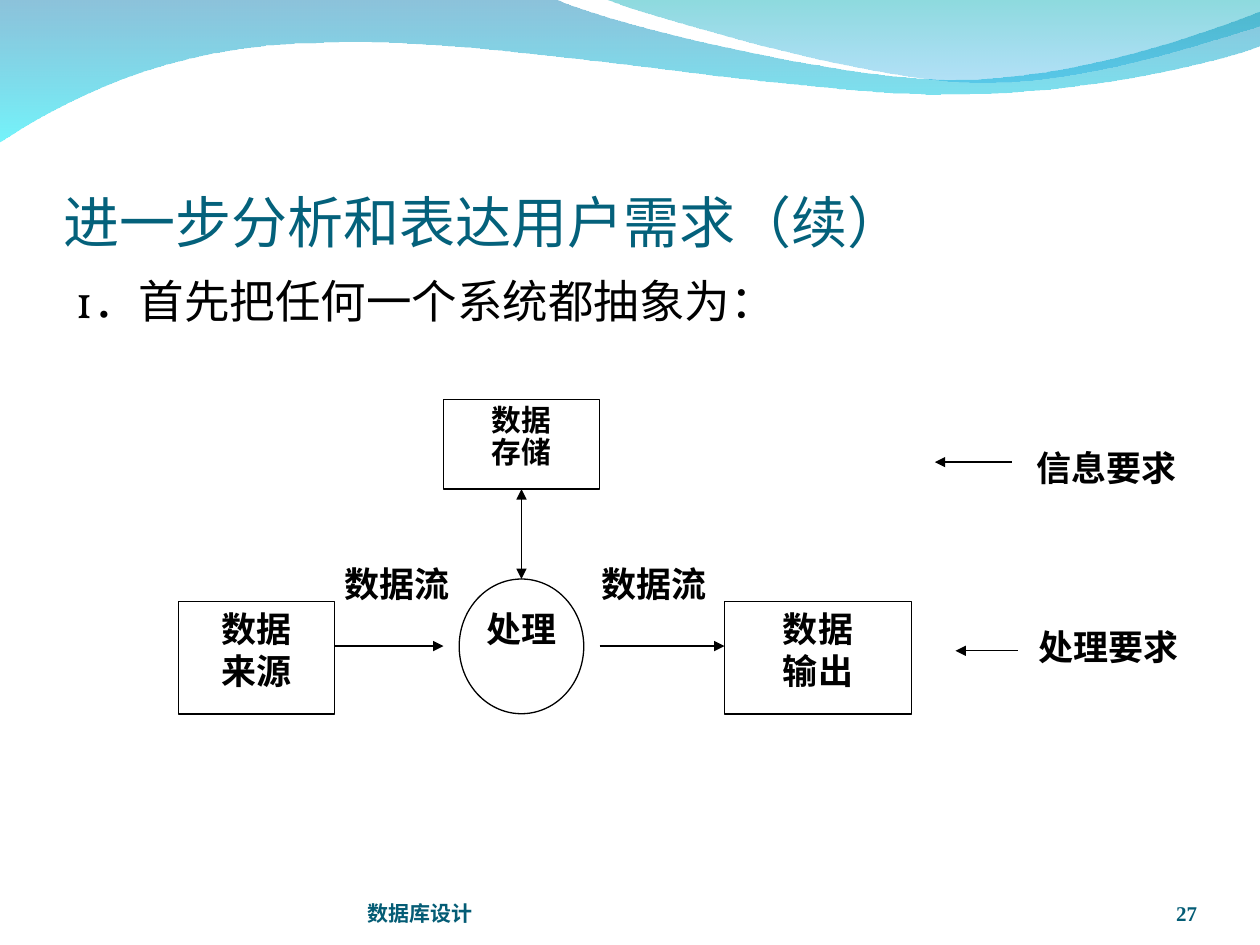
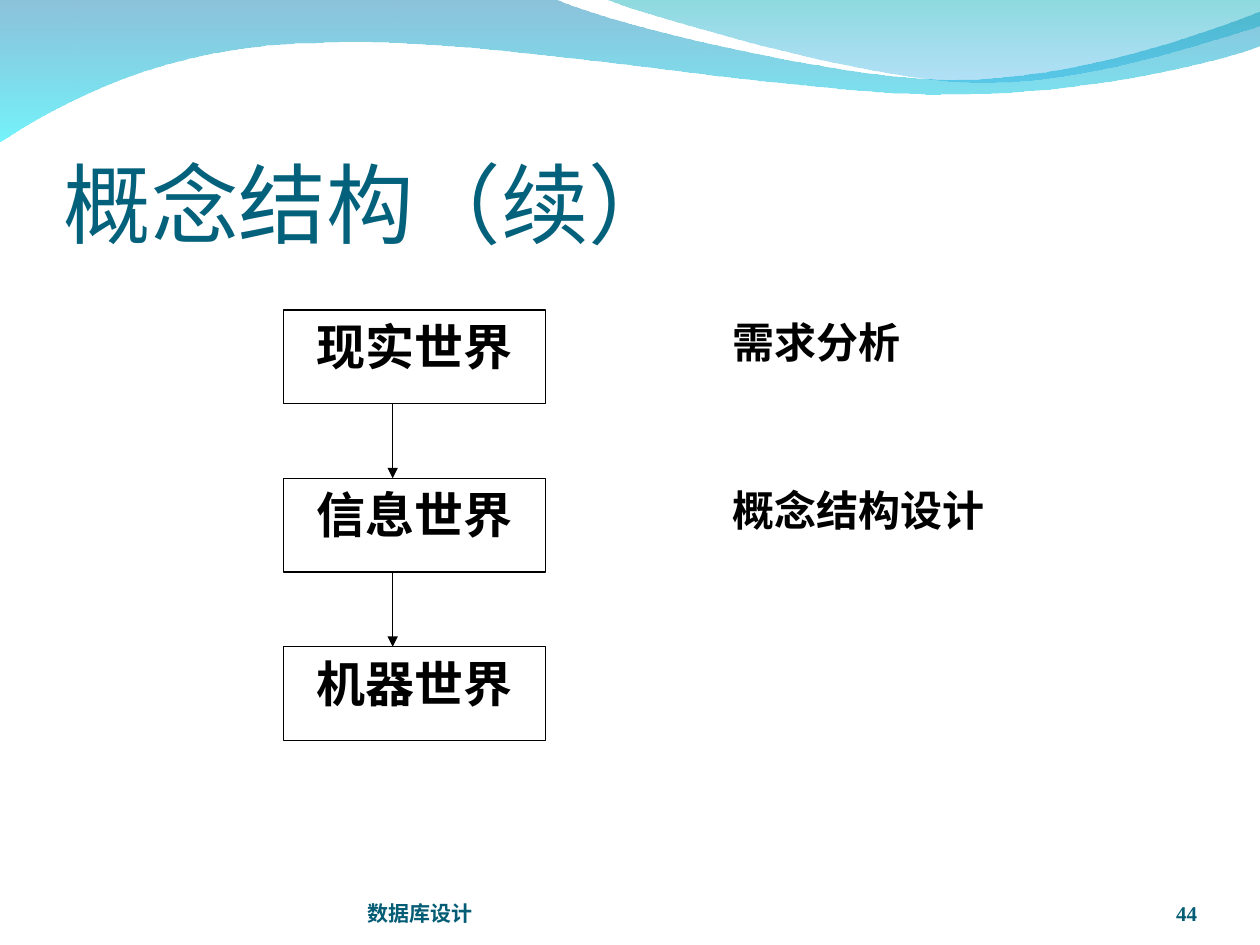
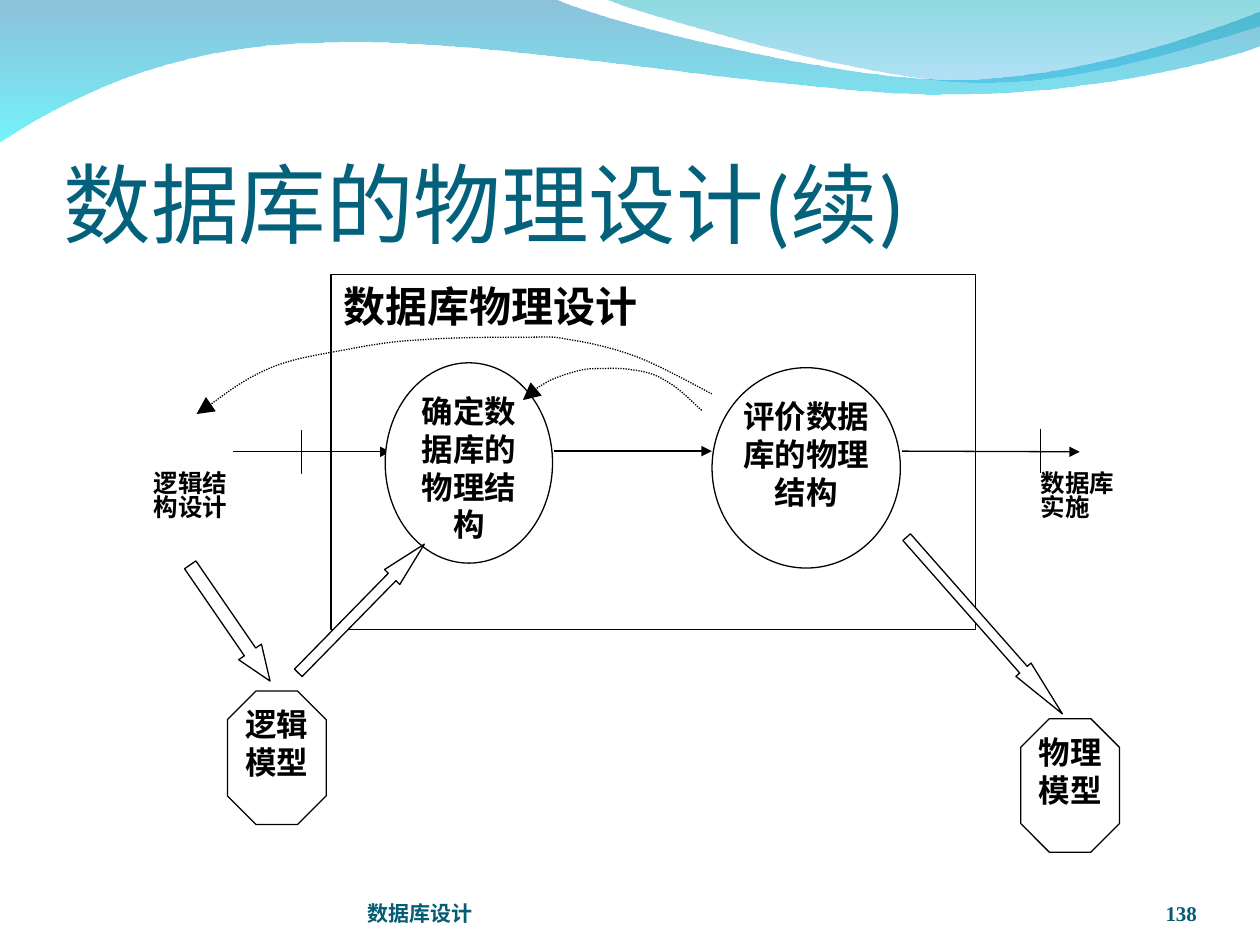
from dataclasses import dataclass
from itertools import chain, islice

from lxml import etree
from pptx import Presentation
from pptx import util as u
from pptx.dml.color import RGBColor
from pptx.enum import dml, shapes, text
from pptx.oxml import ns

Pt = u.Pt
BLACK, WHITE = "000000", "FFFFFF"
TITLE_COLOR, FOOTER_COLOR = "04617B", "045C75"
TITLE_FONT, BODY_FONT, LABEL_FONT = "Calibri", "Vollkorn", "Times New Roman"
LEFT, CENTER, RIGHT, JUSTIFY = (
    text.PP_ALIGN.LEFT, text.PP_ALIGN.CENTER, text.PP_ALIGN.RIGHT, text.PP_ALIGN.JUSTIFY)
TOP, BOTTOM = text.MSO_ANCHOR.TOP, text.MSO_ANCHOR.BOTTOM
RECTANGLE = shapes.MSO_SHAPE.RECTANGLE
ELLIPSE = shapes.MSO_SHAPE.OVAL
OCTAGON = shapes.MSO_SHAPE.OCTAGON
BLOCK_ARROW = shapes.MSO_SHAPE.RIGHT_ARROW
TIGHT, FLAT, ROOMY = (0, 3.6, 0, 3.6), (0, 0, 0, 0), (7.2, 3.6, 7.2, 3.6)

# An outline is a start point, then lines (x, y) and Bezier curves (three points).
WIDE_WAVE = [
    (0, -0.7), (316.8, -0.7),
    (342.7, 12.2, 478.1, 45.4, 545.8, 45.4), (614.2, 45.4, 689.8, 18.7, 720, 6.5),
    (720.7, 25.9),
    (707.8, 31.7, 626.4, 54.7, 537.1, 54), (447.8, 54, 275, 20.2, 185, 24.5),
    (92.9, 25.2, 33.1, 59.8, -0.7, 81.4), (0, -0.7)]
RIGHT_WAVE = [
    (344.9, -0.7),
    (366.5, 7.9, 491, 44.6, 553.7, 46.8), (616.3, 49.7, 691.9, 23, 720, 15.1),
    (720, 0), (344.9, -0.7)]
SHORT_FEEDBACK = [
    (313.2, 77.8),
    (309.6, 74.9, 300.2, 64.8, 293, 61.2), (286.6, 56.9, 280.1, 55.4, 273.6, 54.7),
    (267.1, 53.3, 258.5, 54, 252.7, 54), (247, 54, 244.1, 54.7, 239, 56.2),
    (234, 57.6, 227.5, 59.8, 223.2, 62.6), (218.2, 65.5, 213.1, 69.8, 211, 72)]
LONG_FEEDBACK = [
    (319, 68.4),
    (311.8, 64.8, 288.7, 51.8, 275, 46.8), (261.4, 41.8, 247.7, 38.9, 237.6, 37.4),
    (227.5, 35.3, 227.5, 36, 213.8, 36), (199.4, 36, 171.4, 36, 154.1, 37.4),
    (136.8, 38.2, 124.6, 40.3, 109.4, 43.2), (94.3, 46.1, 77.8, 48.2, 64.1, 54.7),
    (49.7, 61.2, 32.4, 74.9, 24.5, 79.9)]


def color(value):
    return RGBColor.from_string(value)


def write(shape, content, size=20, font=LABEL_FONT, ink=BLACK, bold=True, align=CENTER,
          anchor=TOP, insets=TIGHT, spacing=None, before=None):
    """Fill a shape with one paragraph for each line of content."""
    frame = shape.text_frame
    frame.word_wrap = True
    frame.vertical_anchor = anchor
    frame.margin_left, frame.margin_top, frame.margin_right, frame.margin_bottom = map(Pt, insets)
    for index, line in enumerate(content.split("\n")):
        paragraph = frame.add_paragraph() if index else frame.paragraphs[0]
        paragraph.alignment = align
        paragraph.line_spacing = spacing
        if before is not None:
            paragraph.space_before = Pt(before)
        run = paragraph.add_run()
        run.text = line
        run.font.name, run.font.size, run.font.bold = font, Pt(size), bold
        run.font.color.rgb = color(ink)


def set_line(shape, ends=(), end_size="med", dash=None):
    shape.line.color.rgb = color(BLACK)
    shape.line.width = Pt(0.75)
    if dash:
        shape.line.dash_style = dash
    for end in ends:
        etree.SubElement(shape.line._get_or_add_ln(), ns.qn(f"a:{end}End"),
                         type="triangle", w=end_size, len=end_size)


def bend(shape, outline):
    """Merge the three straight lines through each curve's points into one Bezier curve."""
    lines = iter(list(shape._element.iter(ns.qn("a:lnTo"))))
    for segment in outline[1:]:
        first, *others = islice(lines, len(segment) // 2)
        if others:
            first.tag = ns.qn("a:cubicBezTo")
        for line in others:
            first.append(line[0])
            line.getparent().remove(line)


@dataclass
class Region:
    """A part of a slide; positions count from its top left corner."""
    slide: object
    left: float = 0
    top: float = 0

    def place(self, x, y):
        return Pt(self.left + x), Pt(self.top + y)

    def label(self, content, x, y, width, height, **style):
        box = self.slide.shapes.add_textbox(*self.place(x, y), Pt(width), Pt(height))
        write(box, content, **style)

    def shape(self, kind, x, y, width, height, content=None, fill=None, outlined=True,
              adjust=(), rotation=0, **style):
        shape = self.slide.shapes.add_shape(kind, *self.place(x, y), Pt(width), Pt(height))
        shape.shadow.inherit = False
        shape.rotation = rotation
        for index, value in enumerate(adjust):
            shape.adjustments[index] = value
        if fill:
            shape.fill.solid()
            shape.fill.fore_color.rgb = color(fill)
        else:
            shape.fill.background()
        if outlined:
            set_line(shape)
        else:
            shape.line.fill.background()
        if content:
            write(shape, content, **style)
        return shape

    def connect(self, start, end, ends=("tail",)):
        connector = self.slide.shapes.add_connector(
            shapes.MSO_CONNECTOR.STRAIGHT, *self.place(*start), *self.place(*end))
        set_line(connector, ends)
        etree.SubElement(connector._element.spPr, ns.qn("a:effectLst"))
        return connector

    def freeform(self, outline, close):
        numbers = list(chain.from_iterable(outline))
        start, *rest = [self.place(*point) for point in zip(numbers[::2], numbers[1::2])]
        builder = self.slide.shapes.build_freeform(*start)
        builder.add_line_segments(rest, close=close)
        shape = builder.convert_to_shape()
        bend(shape, outline)
        shape.shadow.inherit = False
        return shape

    def wave(self, outline, stops):
        shape = self.freeform(outline, close=True)
        shape.line.fill.background()
        shape.fill.gradient()
        shape.fill.gradient_angle = 270
        for stop, (value, opacity) in zip(shape.fill.gradient_stops, stops):
            stop.color.rgb = color(value)
            ink = stop._gs.find(ns.qn("a:srgbClr"))
            etree.SubElement(ink, ns.qn("a:alpha"), val=str(opacity * 1000))

    def feedback(self, outline):
        shape = self.freeform(outline, close=False)
        shape.fill.background()
        set_line(shape, ["tail"], "lg", dml.MSO_LINE.ROUND_DOT)


def add_framed_slide(presentation, title, number, title_size=50):
    """Add a slide with the waves, title, footer and slide number."""
    slide = presentation.slides.add_slide(presentation.slide_layouts[6])
    page = Region(slide)
    page.wave(WIDE_WAVE, [("0079AF", 45), ("00EBF8", 55)])
    page.wave(RIGHT_WAVE, [("00ADB6", 45), ("009BE5", 30)])
    page.label(title, 36.3, 55.8, 648, 90, size=title_size, font=TITLE_FONT, ink=TITLE_COLOR,
               bold=False, align=LEFT, anchor=BOTTOM, insets=(0, 3.6, 0, 0))
    footer = dict(size=12, ink=FOOTER_COLOR, anchor=BOTTOM, insets=FLAT)
    page.label("数据库设计", 210, 500.4, 264, 28.8, align=LEFT, **footer)
    page.label(number, 624, 500.4, 60, 28.8, align=RIGHT, **footer)
    return slide


def draw_data_flow(region):
    region.label("数据流", 231.6, 89.8, 79.9, 51.1)
    region.label("数据流", 89.1, 89.8, 71.3, 51.1)
    process = region.shape(ELLIPSE, 160.2, 102.8, 71.2, 77)
    storage = region.shape(RECTANGLE, 151.2, 0, 89.2, 51.4, "数据\n存储", size=17, spacing=0.9)
    region.label("信息要求", 485.6, 23.8, 89.2, 52.6)
    region.connect((475.9, 36), (432, 36))
    region.shape(RECTANGLE, 0, 115.5, 89, 64.4, "数据\n来源")
    region.connect((89, 141.1), (151.2, 141.1))
    region.label("处理", 169.2, 115.4, 53.3, 38.2)
    region.connect((240.4, 141.1), (311.8, 141.1))
    region.shape(RECTANGLE, 311.8, 115.5, 106.9, 64.4, "数据\n输出")
    region.connect((479.5, 143.8), (443.8, 143.8))
    region.label("处理要求", 486.7, 125.8, 89.2, 41)
    exchange = region.connect((195.8, 51.4), (195.8, 102.8), ends=("head", "tail"))
    exchange.begin_connect(storage, 2)
    exchange.end_connect(process, 0)


def draw_worlds(region):
    """Stack the three worlds, with the design step beside each of the first two."""
    pitch, width, height, arrow_x = 96.25, 149.8, 53.5, 62.4
    for row, world in enumerate(["现实世界", "信息世界", "机器世界"]):
        region.shape(RECTANGLE, 0, row * pitch, width, height, world, size=28, insets=ROOMY)
        if row:
            region.connect((arrow_x, (row - 1) * pitch + height), (arrow_x, row * pitch))
    for row, (step, step_width) in enumerate([("需求分析", 137.5), ("概念结构设计", 212.4)]):
        region.label(step, 249.6, row * pitch, step_width, 42.5,
                     size=24, align=JUSTIFY, insets=ROOMY)


def draw_physical_design(region):
    region.shape(RECTANGLE, 101.3, 0, 368.3, 203, "数据库物理设计", fill=WHITE,
                 size=24, align=JUSTIFY, insets=ROOMY)
    node = dict(fill=WHITE, size=18, insets=FLAT)
    region.connect((45.4, 101.5), (135.4, 101.5))
    region.shape(ELLIPSE, 132.3, 50.6, 95.6, 114.5, "确定数据库的物理结构", **node)
    region.connect((228.8, 101.1), (319, 101.1))
    region.shape(ELLIPSE, 319.1, 53.4, 107.6, 114.5, "评价数据库的物理结构", **node)
    region.connect((427.7, 101.1), (529.2, 101.5))

    for x, y in [(506.9, 88.6), (84.4, 89.3)]:
        region.connect((x, y), (x, y + 25.2), ends=())
    for stage, x, width in [("逻辑结\n构设计", 0, 90), ("数据库\n实施", 506.9, 101.5)]:
        region.shape(RECTANGLE, x, 114.1, width, 38.2, stage, fill=WHITE, outlined=False,
                     size=14, align=JUSTIFY, insets=FLAT, spacing=0.8)
    for model, x, y in [("物理\n模型", 495.5, 254), ("逻辑\n模型", 42.2, 238.2)]:
        region.shape(OCTAGON, x, y, 56.4, 76.3, model, adjust=[0.29], **node)
    for x, y, length, thickness, rotation, head in [
            (3.4, 191.4, 80.6, 15.8, 55.5, 1.28),
            (407.5, 195, 134.6, 11.5, 48.6, 2.92),
            (67.2, 184.9, 103, 12.2, 314.4, 2.16)]:
        region.shape(BLOCK_ARROW, x, y, length, thickness, fill=WHITE,
                     adjust=[0.5, head], rotation=rotation)
    region.feedback(SHORT_FEEDBACK)
    region.feedback(LONG_FEEDBACK)


def main():
    presentation = Presentation()
    presentation.slide_width, presentation.slide_height = Pt(720), Pt(540)

    slide = add_framed_slide(presentation, "进一步分析和表达用户需求（续）", "27", title_size=32)
    Region(slide).label("1．首先把任何一个系统都抽象为：", 36, 152.6, 648, 345.6, size=26,
                        font=BODY_FONT, bold=False, align=LEFT, insets=ROOMY, before=6.5)
    draw_data_flow(Region(slide, 102.2, 228.1))

    slide = add_framed_slide(presentation, "概念结构（续）", "44")
    draw_worlds(Region(slide, 162, 177.1))

    slide = add_framed_slide(presentation, "数据库的物理设计(续)", "138")
    draw_physical_design(Region(slide, 87.8, 156.7))

    presentation.save("out.pptx")


if __name__ == "__main__":
    main()
